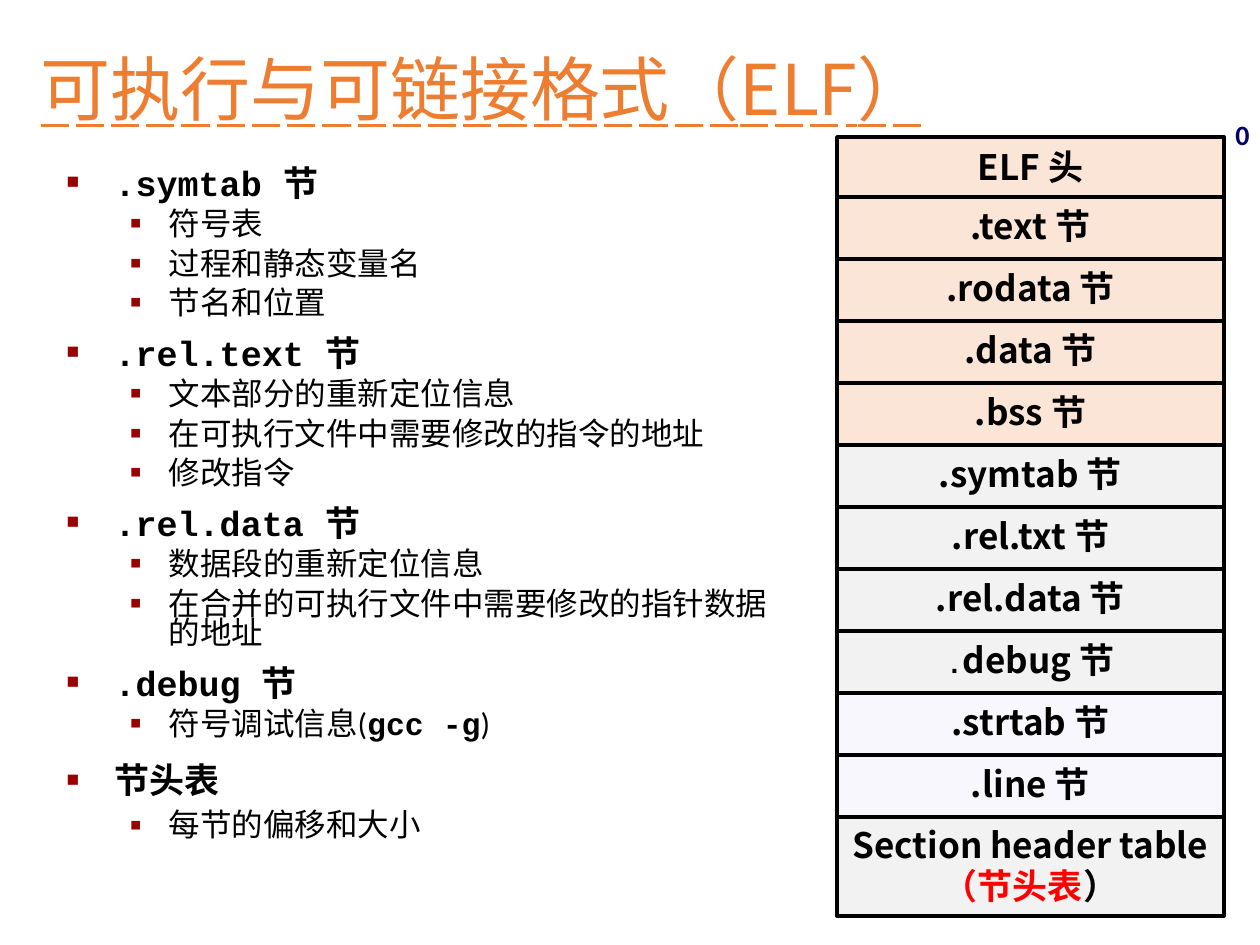
from lxml import etree
from pptx import Presentation
from pptx.dml.color import RGBColor
from pptx.enum.shapes import MSO_SHAPE
from pptx.enum.text import MSO_ANCHOR, MSO_AUTO_SIZE, MSO_UNDERLINE, PP_ALIGN
from pptx.oxml.ns import qn
from pptx.util import Emu, Pt

RECTANGLE = MSO_SHAPE.RECTANGLE
MIDDLE, TOP = MSO_ANCHOR.MIDDLE, MSO_ANCHOR.TOP
LEFT, CENTER = PP_ALIGN.LEFT, PP_ALIGN.CENTER
DASHED = MSO_UNDERLINE.DASH_LONG_LINE
NO_AUTOFIT = MSO_AUTO_SIZE.NONE
PX = 914400 // 126
HEADING = "Noto Sans CJK SC"
BODY = "Calibri"
CODE = "Courier New"
BLACK = "000000"
PEACH, GREY, LILAC = "FBE5D6", "F2F2F2", "D6D6F5"


def color(hex_text):
    return RGBColor.from_string(hex_text)


def add_run(paragraph, text, size=20, font=HEADING, ink=BLACK, bold=True, underline=None):
    run = paragraph.add_run()
    run.text = text
    run.font.size = Pt(size)
    run.font.name = font
    run.font.bold = bold
    run.font.underline = underline
    run.font.color.rgb = color(ink)
    east_asian = etree.Element(qn("a:ea"), typeface=HEADING)
    run.font._element.find(qn("a:latin")).addnext(east_asian)


class SlideBuilder:
    """Holds the bullet style and the slide being built."""

    levels = (
        {"char": "■", "percent": 60, "margin": 48, "hanging": 48, "before": 12.5, "size": 20},
        {"char": "▪", "percent": 110, "margin": 102, "hanging": 39, "before": 5.7, "size": 18},
    )
    bullet_ink = "990000"

    def __init__(self, slide):
        self.slide = slide

    def place(self, shape, left, top, width, height):
        shape.left, shape.top = Emu(left * PX), Emu(top * PX)
        shape.width, shape.height = Emu(width * PX), Emu(height * PX)

    def title(self, text, *box):
        heading = self.slide.shapes.title
        self.place(heading, *box)
        frame = heading.text_frame
        frame.auto_size = NO_AUTOFIT
        frame.vertical_anchor = MIDDLE
        paragraph = frame.paragraphs[0]
        paragraph.alignment = LEFT
        paragraph.line_spacing = 0.9
        add_run(paragraph, text, size=40, ink="ED7D31", bold=False, underline=DASHED)

    def bullet(self, paragraph, level):
        style = self.levels[level]
        paragraph.level = level
        properties = paragraph._p.get_or_add_pPr()
        properties.set("marL", str(style["margin"] * PX))
        properties.set("indent", str(-style["hanging"] * PX))
        ink = etree.SubElement(properties, qn("a:buClr"))
        etree.SubElement(ink, qn("a:srgbClr"), val=self.bullet_ink)
        etree.SubElement(properties, qn("a:buSzPct"), val=str(style["percent"] * 1000))
        etree.SubElement(properties, qn("a:buChar"), char=style["char"])

    def outline(self, items, *box):
        body = self.slide.placeholders[1]
        self.place(body, *box)
        frame = body.text_frame
        frame.auto_size = NO_AUTOFIT
        frame.vertical_anchor = TOP
        for index, (level, spacing, runs) in enumerate(items):
            paragraph = frame.add_paragraph() if index else frame.paragraphs[0]
            self.bullet(paragraph, level)
            paragraph.line_spacing = spacing
            paragraph.space_before = Pt(self.levels[level]["before"] if index else 0)
            for text, font in runs:
                add_run(paragraph, text, size=self.levels[level]["size"], font=font,
                        bold=level == 0 or font == CODE)

    def section(self, lines, fill, *box, spacing=0.94):
        cell = self.slide.shapes.add_shape(RECTANGLE, 0, 0, 0, 0)
        self.place(cell, *box)
        cell.shadow.inherit = False
        cell.fill.solid()
        cell.fill.fore_color.rgb = color(fill)
        if fill == LILAC:
            tint = cell._element.spPr.find(qn("a:solidFill"))[0]
            etree.SubElement(tint, qn("a:alpha"), val="19000")
        cell.line.color.rgb = color(BLACK)
        cell.line.width = Pt(2)
        frame = cell.text_frame
        frame.word_wrap = False
        frame.vertical_anchor = MIDDLE
        for index, runs in enumerate(lines):
            paragraph = frame.add_paragraph() if index else frame.paragraphs[0]
            paragraph.alignment = CENTER
            paragraph.line_spacing = spacing
            for text, style in runs:
                add_run(paragraph, text, **style)

    def label(self, text, *box):
        note = self.slide.shapes.add_textbox(0, 0, 0, 0)
        self.place(note, *box)
        note.text_frame.word_wrap = False
        paragraph = note.text_frame.paragraphs[0]
        paragraph.line_spacing = 0.98
        add_run(paragraph, text, size=16, font=BODY, ink="000066")


def section_heading(name):
    return 0, 0.71, [(name + " ", CODE), ("节", BODY)]


def detail(text, spacing=0.78):
    return 1, spacing, [(text, BODY)]


OUTLINE = [
    section_heading(".symtab"),
    detail("符号表"),
    detail("过程和静态变量名"),
    detail("节名和位置"),
    section_heading(".rel.text"),
    detail("文本部分的重新定位信息"),
    detail("在可执行文件中需要修改的指令的地址"),
    detail("修改指令"),
    section_heading(".rel.data"),
    detail("数据段的重新定位信息"),
    detail("在合并的可执行文件中需要修改的指针数据的地址"),
    section_heading(".debug"),
    (1, 0.78, [("符号调试信息(", BODY), ("gcc -g", CODE), (")", BODY)]),
    (0, 0.88, [("节头表", BODY)]),
    detail("每节的偏移和大小", 0.88),
]

SECTIONS = [
    ([(".text 节", {})], PEACH),
    ([(".rodata 节", {})], PEACH),
    ([(".data 节", {})], PEACH),
    ([(".bss 节", {})], PEACH),
    ([(".symtab 节", {})], GREY),
    ([(".rel.txt 节", {})], GREY),
    ([(".rel.data 节", {})], GREY),
    ([(".", {"size": 16, "font": CODE}), ("debug 节", {})], GREY),
    ([(".strtab 节", {})], LILAC),
    ([(".line 节", {})], LILAC),
]

HEADER_TABLE = [
    [("Section header table", {})],
    [("（节头表", {"ink": "FF0000"}), ("）", {})],
]


def main():
    deck = Presentation()
    deck.slide_width, deck.slide_height = Emu(1260 * PX), Emu(945 * PX)
    builder = SlideBuilder(deck.slides.add_slide(deck.slide_layouts[1]))
    builder.title("可执行与可链接格式（ELF）", 28, 44, 1094, 97)
    builder.outline(OUTLINE, 54, 166, 727, 753)

    left, width, row = 837, 387, 62
    first_section = 197
    builder.section([[("ELF 头", {})]], PEACH, left, 137, width, row, spacing=0.98)
    for index, (runs, fill) in enumerate(SECTIONS):
        builder.section([runs], fill, left, first_section + index * row, width, row)
    table_top = first_section + len(SECTIONS) * row
    builder.section(HEADER_TABLE, GREY, left, table_top, width, 99, spacing=0.98)
    builder.label("0", 1223, 113, 37, 46)
    deck.save("out.pptx")


if __name__ == "__main__":
    main()
